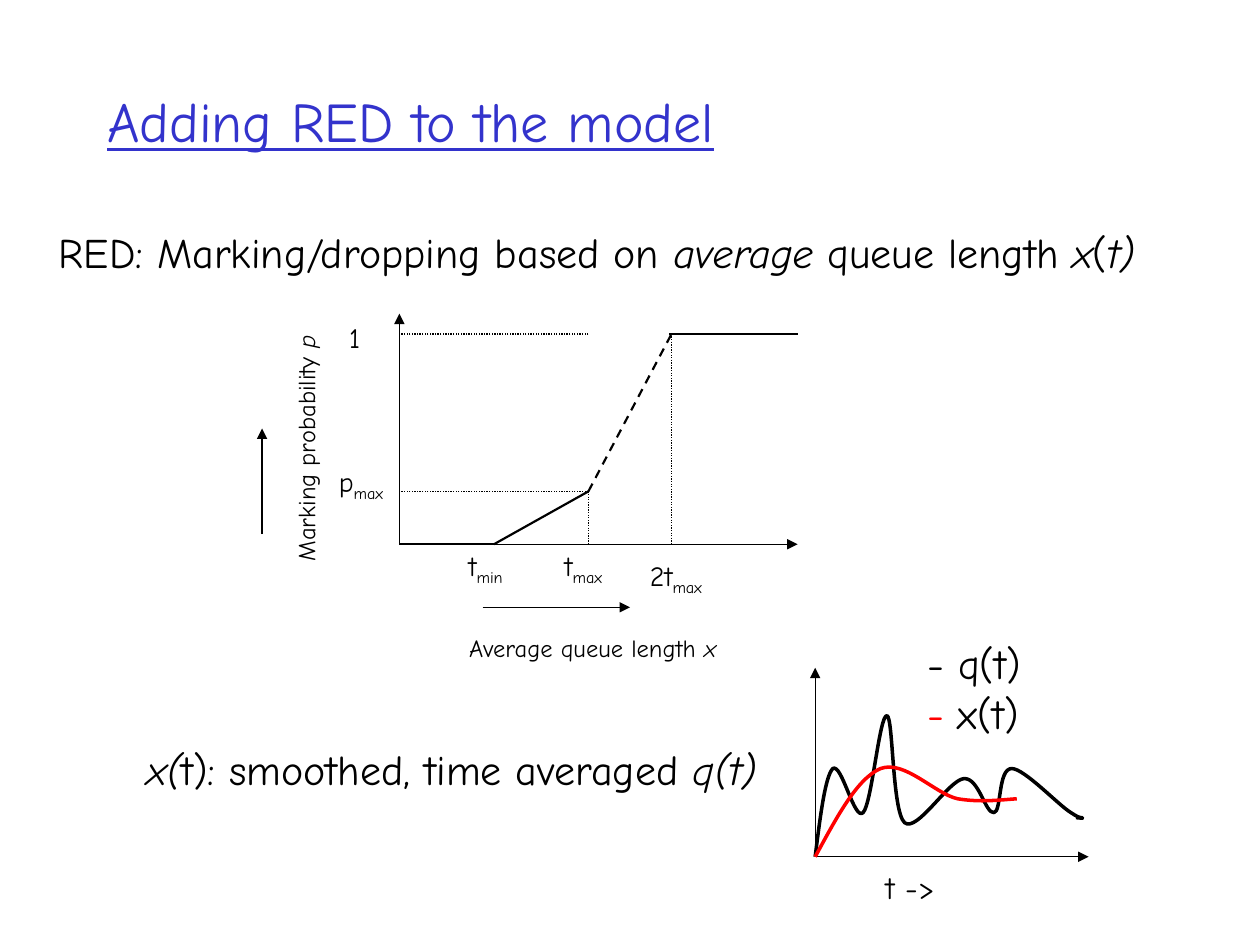
from lxml.etree import SubElement
from pptx import Presentation
from pptx.dml.color import RGBColor
from pptx.enum.dml import MSO_LINE_DASH_STYLE as Dash
from pptx.enum.shapes import MSO_CONNECTOR as Connector
from pptx.enum.text import MSO_ANCHOR as Anchor, MSO_AUTO_SIZE as AutoSize, PP_ALIGN as Align
from pptx.oxml.ns import qn
from pptx.util import Inches, Pt

FONT = "Comic Neue"
BLACK, BLUE, RED = "000000", "3333CC", "FF0000"

ORIGIN_X, ORIGIN_Y = 3.17, 4.32
AXIS_RIGHT, AXIS_TOP = 6.33, 2.49
T_MIN, T_MAX, TWICE_T_MAX = 3.92, 4.67, 5.33
P_MAX, P_ONE = 3.9, 2.65
PLOT_X, PLOT_Y = 6.47, 6.8

QUEUE_CURVE = [
    (PLOT_X, PLOT_Y), (6.51, 6.48), (6.55, 6.16), (6.61, 6.1), (6.68, 6.05), (6.78, 6.52),
    (6.85, 6.45), (6.92, 6.38), (6.98, 5.67), (7.04, 5.68), (7.09, 5.69), (7.08, 6.44),
    (7.18, 6.53), (7.28, 6.61), (7.53, 6.19), (7.65, 6.18), (7.77, 6.17), (7.82, 6.46),
    (7.89, 6.45), (7.95, 6.44), (7.92, 6.1), (8.03, 6.1), (8.13, 6.1), (8.4, 6.39),
    (8.5, 6.45), (8.59, 6.51), (8.58, 6.48), (8.59, 6.49), (8.6, 6.5), (8.57, 6.49),
    (8.54, 6.49),
]
AVERAGE_CURVE = [
    (PLOT_X, PLOT_Y), (6.64, 6.49), (6.8, 6.18), (6.99, 6.1), (7.18, 6.03), (7.42, 6.3),
    (7.6, 6.34), (7.78, 6.37), (7.93, 6.35), (8.07, 6.34),
]


def rgb(hex_color):
    """Turn a hex string into a colour."""
    return RGBColor.from_string(hex_color)


def write_text(frame, *paragraphs, size, align=Align.LEFT, color=BLACK, underline=None):
    """Fill a frame with paragraphs, each a list of (text, format) runs."""
    frame.vertical_anchor = Anchor.MIDDLE
    for index, runs in enumerate(paragraphs):
        paragraph = frame.add_paragraph() if index else frame.paragraphs[0]
        paragraph.alignment = align
        for text, style in runs:
            run = paragraph.add_run()
            run.text = text
            run.font.name = FONT
            run.font.size = Pt(size)
            run.font.italic = style.get("italic", False)
            run.font.underline = underline
            run.font.color.rgb = rgb(style.get("color", color))
            if style.get("subscript"):
                run._r.get_or_add_rPr().set("baseline", "-25000")


def add_label(slide, box, *paragraphs, wrap=False, rotation=0, **text_format):
    """Add a text box that fits its text."""
    label = slide.shapes.add_textbox(*map(Inches, box))
    label.rotation = rotation
    label.text_frame.word_wrap = wrap
    label.text_frame.auto_size = AutoSize.SHAPE_TO_FIT_TEXT
    write_text(label.text_frame, *paragraphs, **text_format)


def add_line(slide, start, end, width=0.75, dash=None, arrow=False):
    """Draw a straight black line, dashed or ending in an arrowhead on request."""
    line = slide.shapes.add_connector(Connector.STRAIGHT, *map(Inches, (*start, *end)))
    line.line.color.rgb = rgb(BLACK)
    line.line.width = Pt(width)
    if dash:
        line.line.dash_style = dash
    if arrow:
        SubElement(line.line._get_or_add_ln(), qn("a:tailEnd"), type="triangle")
    SubElement(line._element.spPr, qn("a:effectLst"))


def add_curve(slide, controls, color):
    """Draw a smooth open curve through cubic Bezier controls."""
    start, *rest = [tuple(map(Inches, point)) for point in controls]
    builder = slide.shapes.build_freeform(*start)
    builder.add_line_segments(rest, close=False)
    curve = builder.convert_to_shape()
    segments = list(curve._element.iter(qn("a:lnTo")))
    outline = segments[0].getparent()
    for first in range(0, len(segments), 3):
        bezier = SubElement(outline, qn("a:cubicBezTo"))
        for segment in segments[first:first + 3]:
            bezier.append(segment[0])
            outline.remove(segment)
    curve.shadow.inherit = False
    curve.fill.background()
    curve.line.color.rgb = rgb(color)
    curve.line.width = Pt(2)


def add_title(slide, text):
    """Place and format the slide title."""
    title = slide.shapes.title
    title.left, title.top, title.width, title.height = map(Inches, (0.75, 0.33, 8.5, 1.25))
    title.text_frame.auto_size = AutoSize.NONE
    write_text(title.text_frame, [(text, {})], size=32, color=BLUE, underline=True)


def add_marking_diagram(slide):
    """Draw marking probability against average queue length."""
    italic, subscript = {"italic": True}, {"subscript": True}
    origin, knee, top = (ORIGIN_X, ORIGIN_Y), (T_MAX, P_MAX), (TWICE_T_MAX, P_ONE)

    for start, end in [
        (origin, (ORIGIN_X, AXIS_TOP)),
        (origin, (AXIS_RIGHT, ORIGIN_Y)),
        ((2.08, 4.24), (2.08, 3.4)),
        ((3.83, 4.82), (5, 4.82)),
    ]:
        add_line(slide, start, end, arrow=True)
    for start, end in [
        (knee, (T_MAX, ORIGIN_Y)),
        (knee, (ORIGIN_X, P_MAX)),
        ((T_MAX, P_ONE), (ORIGIN_X, P_ONE)),
        (top, (TWICE_T_MAX, ORIGIN_Y)),
    ]:
        add_line(slide, start, end, dash=Dash.ROUND_DOT)
    for start, end, dash in [
        (origin, (T_MIN, ORIGIN_Y), None),
        ((T_MIN, ORIGIN_Y), knee, None),
        (knee, top, Dash.DASH),
        ((5.31, P_ONE), (AXIS_RIGHT, P_ONE), None),
    ]:
        add_line(slide, start, end, width=1.25, dash=dash)

    for box, symbol, index, wrap in [
        ((3.62, 4.3, 0.47, 0.41), "t", "min", False),
        ((4.17, 4.3, 0.92, 0.41), "t", "max", True),
        ((5.06, 4.38, 0.61, 0.41), "2t", "max", False),
        ((2.59, 3.63, 0.55, 0.41), "p", "max", False),
    ]:
        add_label(slide, box, [(symbol, {}), (index, subscript)],
                  wrap=wrap, size=16, align=Align.CENTER)
    add_label(slide, (2.67, 2.49, 0.29, 0.37), [("1", {})], size=16, align=Align.CENTER)
    add_label(slide, (1.27, 3.39, 2.31, 0.34), [("Marking probability ", {}), ("p", italic)],
              wrap=True, rotation=270, size=14, align=Align.CENTER)
    add_label(slide, (3.38, 4.97, 2.71, 0.34), [("Average queue length ", {}), ("x ", italic)],
              wrap=True, size=14, align=Align.CENTER)


def add_queue_plot(slide):
    """Draw the queue length and its average over time."""
    for end in [(PLOT_X, 5.3), (8.64, PLOT_Y)]:
        add_line(slide, (PLOT_X, PLOT_Y), end, arrow=True)
    add_curve(slide, QUEUE_CURVE, BLACK)
    add_curve(slide, AVERAGE_CURVE, RED)
    add_label(slide, (6.93, 6.84, 0.59, 0.4), [("t ->", {})], size=18, align=Align.CENTER)
    add_label(slide, (7.26, 5.01, 1.1, 0.9), [("- q(t)", {})],
              [("-", {"color": RED}), (" x(t)", {})], wrap=True, size=24)


def main():
    """Build and save the slide."""
    deck = Presentation()
    deck.slide_width, deck.slide_height = Inches(10), Inches(7.5)
    slide = deck.slides.add_slide(deck.slide_layouts[5])
    italic = {"italic": True}

    add_title(slide, "Adding RED to the model")
    add_label(slide, (0.37, 1.75, 8.9, 0.5),
              [("RED: Marking/dropping based on ", {}), ("average", italic),
               (" queue length ", {}), ("x", italic), ("(", {}), ("t)", italic)], size=24)
    add_marking_diagram(slide)
    add_queue_plot(slide)
    add_label(slide, (1.06, 5.85, 5.05, 0.5),
              [("x(", italic), ("t): smoothed, time averaged ", {}), ("q(t)", italic)],
              size=24, align=Align.CENTER)
    deck.save("out.pptx")


if __name__ == "__main__":
    main()
